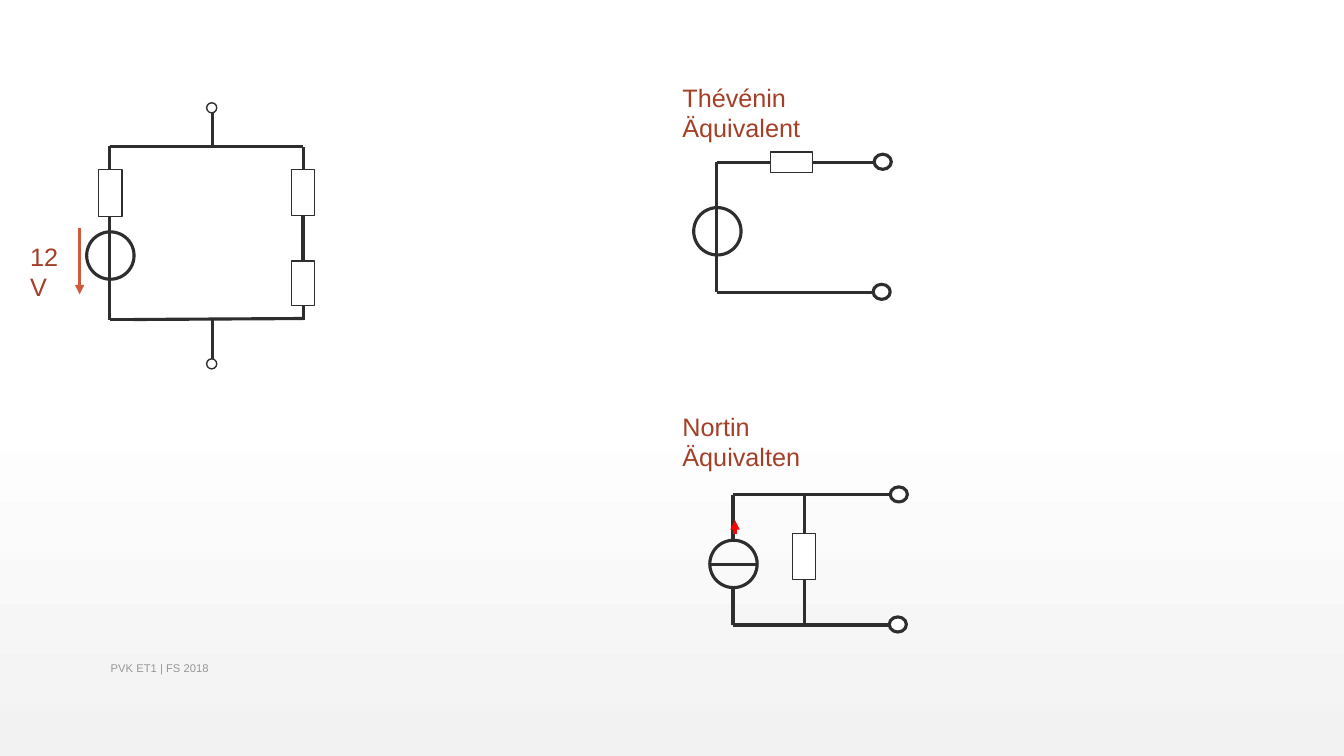
import copy

import pptx
import pptx.util
import pptx.dml.color
import pptx.enum.shapes
import pptx.enum.text
import pptx.oxml
import pptx.oxml.ns

Inches = pptx.util.Inches
OVAL = pptx.enum.shapes.MSO_SHAPE.OVAL
RECTANGLE = pptx.enum.shapes.MSO_SHAPE.RECTANGLE

# Content: lengths in inches
FOOTER = ("PVK ET1 | FS 2018", (1, 6.43, 7.3, 0.4))
LABELS = [
    ("12V", (0.2, 2.34, 0.63, 0.4)),
    ("Thévénin Äquivalent", (6.67, 0.77, 2.2, 0.4)),
    ("Nortin Äquivalten", (6.67, 4.03, 1.95, 0.4)),
]

# Given network: wires run x1, y1, x2, y2
NETWORK_WIRES = [
    (1.09, 1.83, 1.09, 1.45),
    (2.11, 3.56, 2.11, 3.16),
    (1.09, 2.3, 1.09, 1.92),
    (1.09, 3.17, 1.09, 2.77),
    (1.09, 2.3, 1.09, 2.77),
    (1.09, 3.17, 1.39, 3.17),
    (1.33, 3.17, 3.01, 3.16),
    (3.01, 3.17, 3.01, 2.98),
    (1.09, 1.45, 3.01, 1.45),
    (3.01, 1.84, 3.01, 1.46),
    (2.11, 1.09, 2.11, 1.45),
]
RESISTOR_LINK = (3, 2.14, 3, 2.59)
NETWORK_SOURCE = (0.86, 2.3)
VOLTAGE_ARROW = (0.79, 2.26, 0.79, 2.92)
LEFT_RESISTOR = (0.98, 1.68, 0.23, 0.47)
UPPER_RESISTOR = (2.89, 1.68, 0.23, 0.46)
LOWER_RESISTOR = (2.89, 2.59, 0.23, 0.44)
NETWORK_TERMINALS = [(2.05, 1.02, 0.1, 0.1), (2.05, 3.56, 0.1, 0.1)]

# Equivalent circuits: parts measured from the upper left corner of the loop
LOOP_WIRES = [(0, 0.46, 0, 0), (0, 1.29, 0, 0.92), (0, 0, 1.55, 0), (0, 1.29, 1.55, 1.29)]
LOOP_TERMINALS = [(1.56, -0.08, 0.17, 0.15), (1.55, 1.21, 0.17, 0.15)]
LOOP_SOURCE = (-0.23, 0.45)
THEVENIN = {"corner": (7.11, 1.61), "wires": [(0, 0.92, 0, 0.45)], "current": []}
NORTON = {
    "corner": (7.27, 4.91),
    "wires": [(-0.23, 0.69, 0.24, 0.69), (0.71, 1.29, 0.71, 0)],
    "current": [(0.02, 0.39, 0.02, 0.25)],
}
EQUIVALENT_RESISTORS = [(7.86, 5.29, 0.23, 0.46), (7.64, 1.51, 0.42, 0.2)]

THEME = {
    "font": "Arial", "label_size": 18, "footer_size": 8,
    "ink": "2D2E2D", "label": "A43F27", "footer": "959795",
    "voltage": "D15A3E", "current": "FF0000", "paper": "FFFFFF", "shade": "F2F2F2",
    "thick": 2.25, "thin": 1, "source": 0.47,
}


def color(name):
    return pptx.dml.color.RGBColor.from_string(THEME[name])


def add_wire(shapes, ends, ink="ink", arrow=False):
    wire = shapes.add_connector(
        pptx.enum.shapes.MSO_CONNECTOR.STRAIGHT, *[Inches(v) for v in ends])
    wire.line.color.rgb = color(ink)
    wire.line.width = pptx.util.Pt(THEME["thick"])
    properties = wire.element.spPr
    if arrow:
        line = properties.find(pptx.oxml.ns.qn("a:ln"))
        line.append(pptx.oxml.parse_xml(
            f'<a:tailEnd {pptx.oxml.ns.nsdecls("a")} type="triangle"/>'))
    properties.append(pptx.oxml.parse_xml(f'<a:effectLst {pptx.oxml.ns.nsdecls("a")}/>'))
    return wire


def add_part(shapes, kind, box, weight="thin", filled=True):
    part = shapes.add_shape(kind, *[Inches(v) for v in box])
    part.shadow.inherit = False
    if filled:
        part.fill.solid()
        part.fill.fore_color.rgb = color("paper")
    else:
        part.fill.background()
    part.line.color.rgb = color("ink")
    part.line.width = pptx.util.Pt(THEME[weight])
    return part


def add_source(shapes, corner, turn):
    source = add_part(shapes, OVAL, (*corner, THEME["source"], THEME["source"]), "thick", False)
    source.rotation = turn


def add_text(shapes, text, box, style):
    frame = shapes.add_textbox(*[Inches(v) for v in box]).text_frame
    frame.word_wrap = True
    frame.text = text
    font = frame.paragraphs[0].runs[0].font
    font.name = THEME["font"]
    font.size = pptx.util.Pt(THEME[style + "_size"])
    font.color.rgb = color(style)
    return frame


def add_equivalent(shapes, circuit):
    left, top = circuit["corner"]
    group = shapes.add_group_shape().shapes

    def placed(ends):
        return left + ends[0], top + ends[1], left + ends[2], top + ends[3]

    add_source(group, (left + LOOP_SOURCE[0], top + LOOP_SOURCE[1]), 90)
    for wire in circuit["wires"] + LOOP_WIRES:
        add_wire(group, placed(wire))
    for x, y, width, height in LOOP_TERMINALS:
        add_part(group, OVAL, (left + x, top + y, width, height), "thick")
    for arrow in circuit["current"]:
        add_wire(group, placed(arrow), "current", arrow=True)


def set_background(slide):
    fill = slide.background.fill
    fill.gradient()
    fill.gradient_angle = 270
    white, shade = fill.gradient_stops
    white.color.rgb, white.position = color("paper"), 0
    shade.color.rgb, shade.position = color("shade"), 1
    # The upper half stays white
    first = next(slide.element.iter(pptx.oxml.ns.qn("a:gs")))
    middle = copy.deepcopy(first)
    middle.set("pos", "53000")
    first.addnext(middle)


def main():
    deck = pptx.Presentation()
    deck.slide_width, deck.slide_height = Inches(13.33), Inches(7.5)
    slide = deck.slides.add_slide(deck.slide_layouts[6])
    shapes = slide.shapes
    set_background(slide)

    # Footer
    footer = add_text(shapes, *FOOTER, "footer")
    footer.vertical_anchor = pptx.enum.text.MSO_ANCHOR.MIDDLE

    # Given network
    add_source(shapes, NETWORK_SOURCE, 270)
    for wire in NETWORK_WIRES:
        add_wire(shapes, wire)
    link = add_wire(shapes, RESISTOR_LINK)
    add_wire(shapes, VOLTAGE_ARROW, "voltage", arrow=True)
    add_part(shapes, RECTANGLE, LEFT_RESISTOR)
    link.begin_connect(add_part(shapes, RECTANGLE, UPPER_RESISTOR), 2)
    link.end_connect(add_part(shapes, RECTANGLE, LOWER_RESISTOR), 0)
    for terminal in NETWORK_TERMINALS:
        add_part(shapes, OVAL, terminal)

    # Labels
    for text, box in LABELS:
        add_text(shapes, text, box, "label")

    # Equivalent circuits
    for circuit in (THEVENIN, NORTON):
        add_equivalent(shapes, circuit)
    for resistor in EQUIVALENT_RESISTORS:
        add_part(shapes, RECTANGLE, resistor)

    deck.save("out.pptx")


if __name__ == "__main__":
    main()
